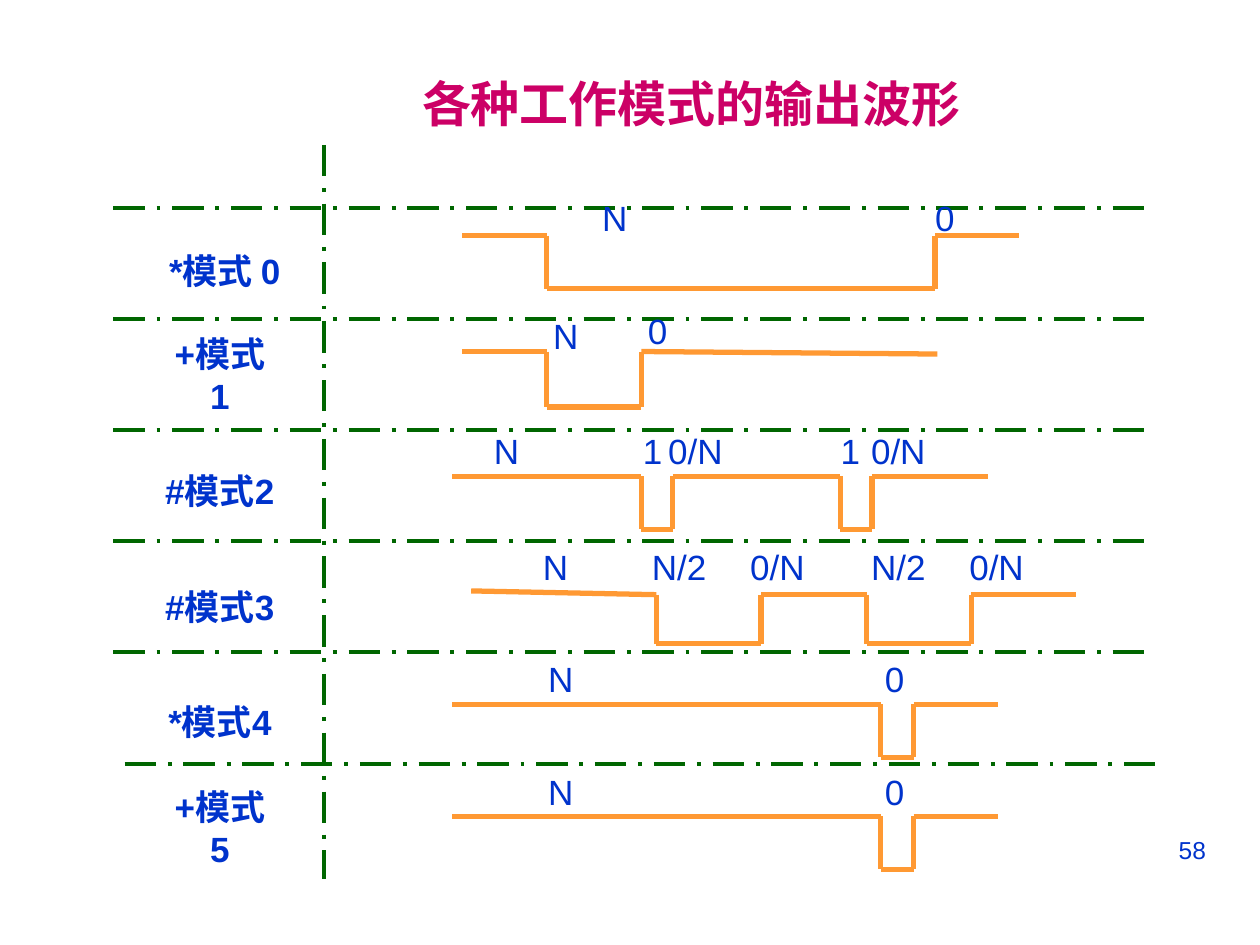
import pptx
import pptx.util
import pptx.dml.color
import pptx.enum.dml
import pptx.enum.shapes
import pptx.enum.text
import lxml.etree
from itertools import pairwise

Inches = pptx.util.Inches
PP_ALIGN = pptx.enum.text.PP_ALIGN
MSO_ANCHOR = pptx.enum.text.MSO_ANCHOR
COLORS = {"title": "CC0066", "grid": "006600", "label": "0033CC", "wave": "FF9933"}

deck = pptx.Presentation()
deck.slide_width, deck.slide_height = Inches(10), Inches(7.5)
slide = deck.slides.add_slide(deck.slide_layouts[6])


def draw_line(start, end, color, width, dash=None):
    line = slide.shapes.add_connector(
        pptx.enum.shapes.MSO_CONNECTOR.STRAIGHT, *map(Inches, start + end))
    line.line.color.rgb = pptx.dml.color.RGBColor.from_string(COLORS[color])
    line.line.width = pptx.util.Pt(width)
    if dash:
        line.line.dash_style = dash
    lxml.etree.SubElement(line._element.spPr, pptx.oxml.ns.qn("a:effectLst"))


def write(text, box, size=20, color="label", bold=False, wrap=True,
          align=PP_ALIGN.CENTER, anchor=MSO_ANCHOR.MIDDLE):
    frame = slide.shapes.add_textbox(*map(Inches, box)).text_frame
    frame.word_wrap = wrap
    frame.vertical_anchor = anchor
    frame.text = text
    paragraph = frame.paragraphs[0]
    paragraph.alignment = align
    font = paragraph.runs[0].font
    font.name, font.size, font.bold = "Arial", pptx.util.Pt(size), bold
    font.color.rgb = pptx.dml.color.RGBColor.from_string(COLORS[color])


write("各种工作模式的输出波形", (2.09, 0.36, 6.79, 0.92), 28, "title", True)

dash = pptx.enum.dml.MSO_LINE.LONG_DASH_DOT
draw_line((2.57, 1.15), (2.57, 6.98), "grid", 2.25, dash)
for row in range(6):
    left = 0.99 if row == 5 else 0.9
    y = 1.65 + row * 0.882
    draw_line((left, y), (left + 8.25, y), "grid", 2.25, dash)

mode_labels = [
    (" *模式 0", 1.93, 1.17), ("+模式1", 2.76, 1.07), ("#模式2", 3.68, 1.07),
    ("#模式3", 4.6, 1.07), ("*模式4", 5.51, 1.02), ("+模式5", 6.35, 1.07),
]
for text, top, width in mode_labels:
    write(text, (1.745 - width / 2, top, width, 0.43), bold=True)

waves = [
    [(3.67, 1.87), (4.34, 1.87), (4.34, 2.29), (7.42, 2.29), (7.42, 1.87), (8.09, 1.87)],
    [(3.67, 2.79), (4.34, 2.79), (4.34, 3.23), (5.09, 3.23), (5.09, 2.79), (7.44, 2.81)],
    [(3.59, 3.78), (5.09, 3.78), (5.09, 4.2), (5.34, 4.2), (5.34, 3.78),
     (6.67, 3.78), (6.67, 4.2), (6.92, 4.2), (6.92, 3.78), (7.84, 3.78)],
    [(3.74, 4.69), (5.21, 4.72), (5.21, 5.11), (6.04, 5.11), (6.04, 4.72),
     (6.88, 4.72), (6.88, 5.11), (7.71, 5.11), (7.71, 4.72), (8.54, 4.72)],
]
for high in (5.59, 6.48):
    low = high + 0.42
    waves.append([(3.59, high), (4.25, high), (6.99, high), (6.99, low),
                  (7.25, low), (7.25, high), (7.92, high)])
for wave in waves:
    for start, end in pairwise(wave):
        draw_line(start, end, "wave", 3)

count_labels = [
    (1.51, [("N", 4.88), ("0", 7.5)]),
    (2.45, [("N", 4.49)]),
    (2.41, [("0", 5.22)]),
    (3.36, [("N", 4.02), ("1", 5.18), ("0/N", 5.52), ("1", 6.75), ("0/N", 7.13)]),
    (4.28, [("N", 4.41), ("N/2", 5.39), ("0/N", 6.17), ("N/2", 7.13), ("0/N", 7.91)]),
    (5.17, [("N", 4.45), ("0", 7.1)]),
    (6.07, [("N", 4.45), ("0", 7.1)]),
]
label_widths = {"N": 0.4, "0": 0.36, "1": 0.36, "0/N": 0.63, "N/2": 0.63}
for top, labels in count_labels:
    for text, center in labels:
        width = label_widths[text]
        write(text, (center - width / 2, top, width, 0.43), wrap=False)

write("58", (7.17, 6.58, 2.5, 0.52), 14, align=PP_ALIGN.RIGHT, anchor=MSO_ANCHOR.TOP)

deck.save("out.pptx")
